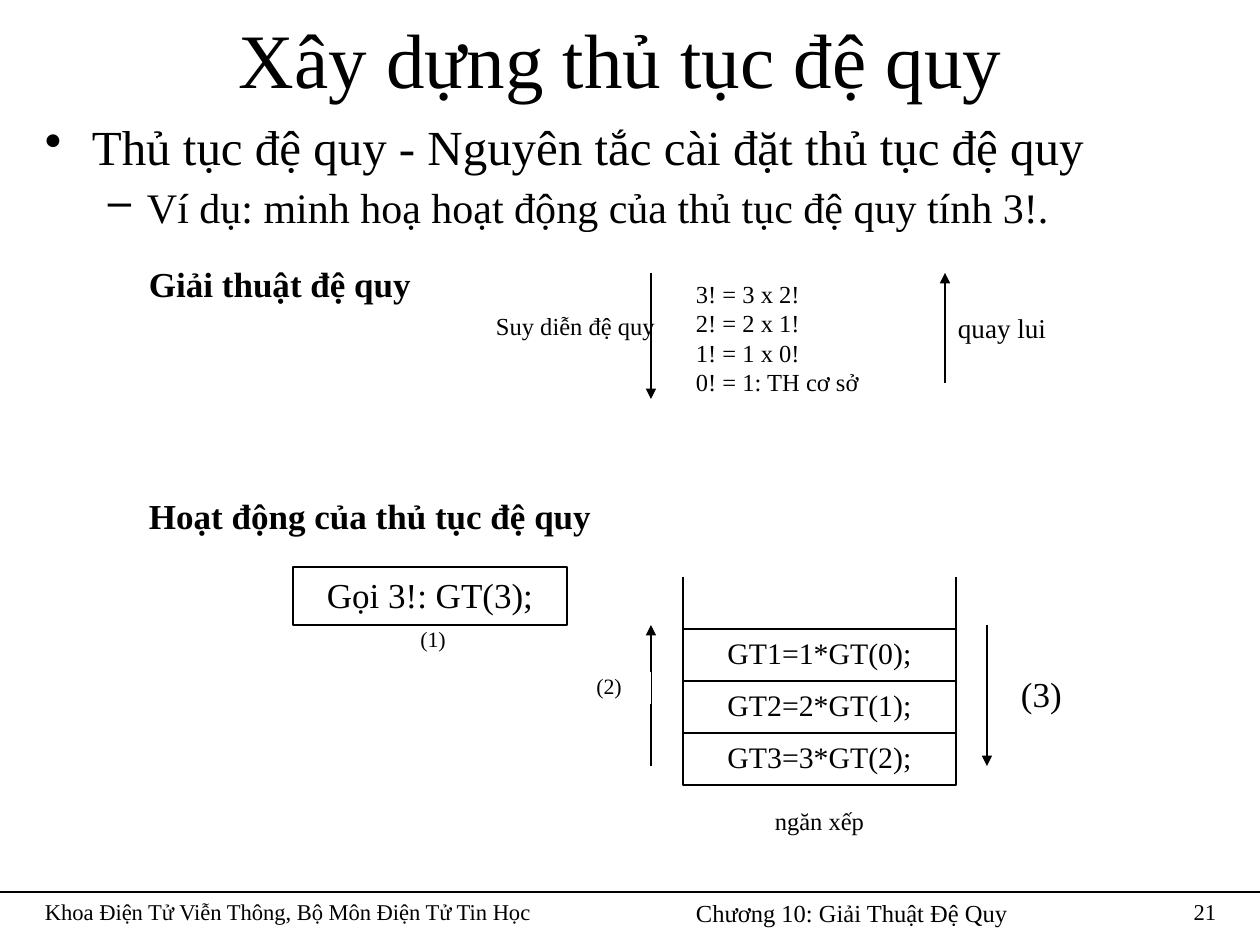
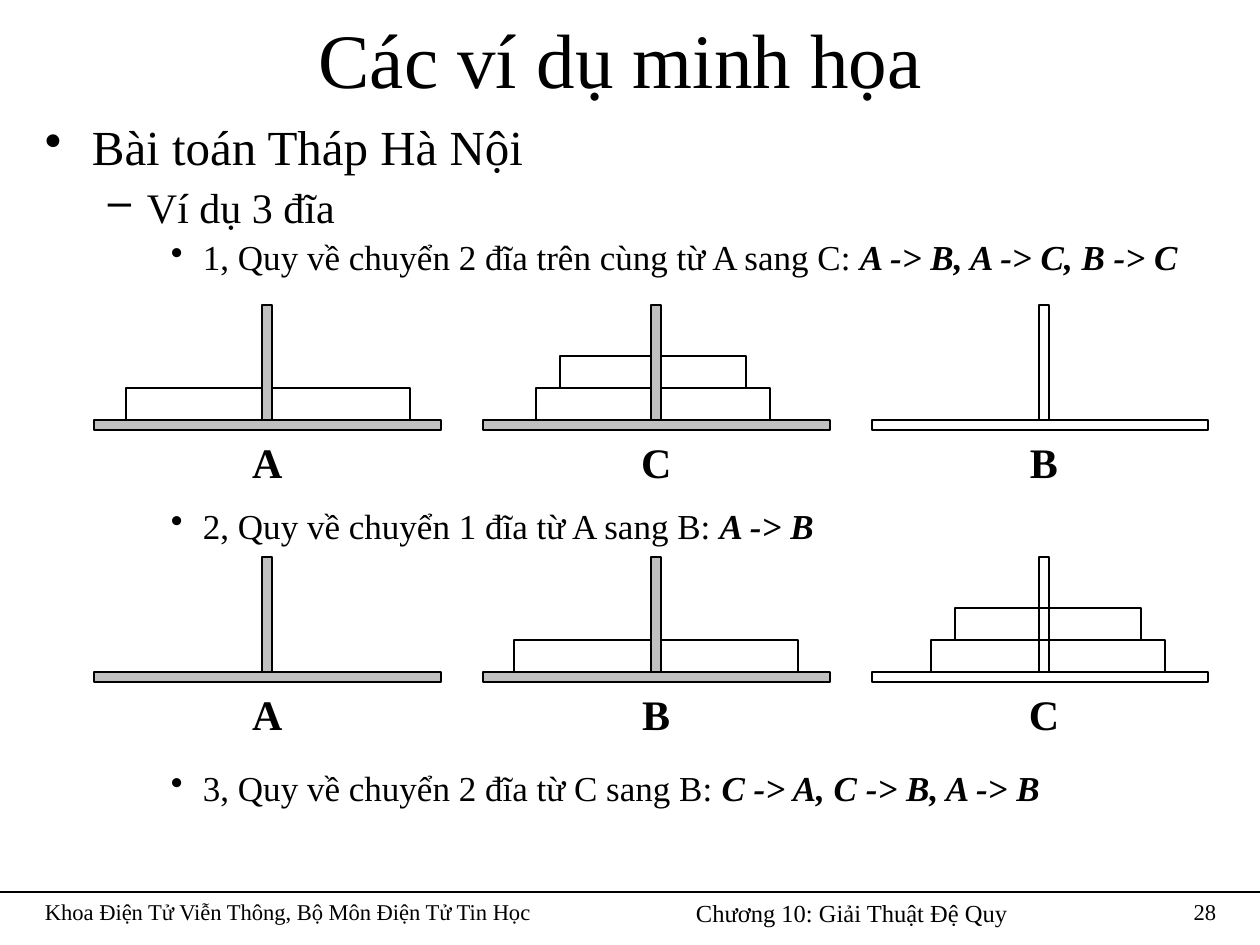
from lxml.etree import SubElement
from pptx import Presentation
from pptx.dml.color import RGBColor
from pptx.enum.shapes import MSO_CONNECTOR, MSO_SHAPE
from pptx.enum.text import MSO_ANCHOR, PP_ALIGN
from pptx.oxml.ns import qn
from pptx.util import Emu, Pt

PX = 914400 / 126
FONT = "Times New Roman"
COLORS = {"ink": "000000", "paper": "FFFFFF", "wood": "C0C0C0"}
LEFT, CENTER, RIGHT = PP_ALIGN.LEFT, PP_ALIGN.CENTER, PP_ALIGN.RIGHT

# Footer: text, left, width, size, alignment
FOOTER_TOP, FOOTER_HEIGHT = 892, 42
DEPARTMENT = ("Khoa Điện Tử Viễn Thông, Bộ Môn Điện Tử Tin Học", 32, 588, 12.9, LEFT)
CHAPTER = ("Chương 10: Giải Thuật Đệ Quy", 683, 368, 14, LEFT)

# Outline level: bullet, left margin, indent, size, space before
LEVELS = [("•", 47, -47, 28, 3.5), ("–", 102, -39, 24, 3), ("•", 158, -32, 20, 2.5)]

FACTORIAL = {
    "title": "Xây dựng thủ tục đệ quy",
    "page": "21",
    "outline": [
        (0, "Thủ tục đệ quy - Nguyên tắc cài đặt thủ tục đệ quy", ""),
        (1, "Ví dụ: minh hoạ hoạt động của thủ tục đệ quy tính 3!.", ""),
    ],
}
DEDUCTION = ["3! = 3 x 2!", "2! = 2 x 1!", "1! = 1 x 0!", "0! = 1: TH cơ sở"]
# Lines of text, box, size, alignment, vertical inset
EXPANSION_LABELS = [
    (DEDUCTION, (683, 273, 262, 142), 14, LEFT, 6),
    (["quay lui"], (945, 305, 189, 48), 15.5, LEFT, 6),
    (["Suy diễn đệ quy"], (483, 305, 189, 48), 14, LEFT, 6),
]
CALL_LABELS = [
    (["(3)"], (1008, 672, 73, 63), 20, LEFT, 1),
    (["(1)"], (346, 625, 174, 32), 12.5, CENTER, 1),
    (["ngăn xếp"], (683, 805, 273, 34), 14, CENTER, 1),
    (["(2)"], (567, 672, 84, 32), 12.5, CENTER, 1),
]
HEADINGS = [
    (["Giải thuật đệ quy"], (136, 262, 305, 53), 20, LEFT, 1),
    (["Hoạt động của thủ tục đệ quy"], (136, 494, 494, 53), 20, LEFT, 1),
]
FIRST_CALL = (["Gọi 3!: GT(3);"], (293, 567, 274, 58), 20, CENTER, 6)
STACK = ["GT1=1*GT(0);", "GT2=2*GT(1);", "GT3=3*GT(2);"]
STACK_LEFT, STACK_TOP, STACK_WIDTH, FRAME_HEIGHT = 683, 629, 273, 52
STACK_RIM = 577
# x, start, end
EXPANSION_ARROWS = [(945, 383, 273), (651, 273, 399)]
CALL_ARROWS = [(651, 766, 625), (987, 625, 766)]

HANOI = {
    "title": "Các ví dụ minh họa",
    "page": "28",
    "outline": [
        (0, "Bài toán Tháp Hà Nội", ""),
        (1, "Ví dụ 3 đĩa", ""),
        (2, "1, Quy về chuyển 2 đĩa trên cùng từ A sang C: ", "A -> B, A -> C, B -> C"),
    ],
}
LATER_STEPS = [
    (498, (2, "2, Quy về chuyển 1 đĩa từ A sang B: ", "A -> B")),
    (760, (2, "3, Quy về chuyển 2 đĩa từ C sang B: ", "C -> A, C -> B, A -> B")),
]
# Base left, base width, peg left, fill
TOWERS = [(94, 347, 262, "wood"), (483, 347, 651, "wood"), (872, 336, 1039, None)]
SMALL, MEDIUM, LARGE = 186, 234, 284
# Peg top, then for each tower: name, centre of the disks, disk widths from the bottom
STATES = [
    (305, [("A", 268, [LARGE]), ("C", 653, [MEDIUM, SMALL]), ("B", 1044, [])]),
    (557, [("A", 268, []), ("B", 656, [LARGE]), ("C", 1048, [MEDIUM, SMALL])]),
]
PEG_WIDTH, PEG_HEIGHT, BASE_HEIGHT, DISK_HEIGHT = 10, 115, 10, 32


def px(value):
    return Emu(round(value * PX))


def color(name):
    return RGBColor.from_string(COLORS[name])


def set_font(paragraph, size, bold=False):
    font = paragraph.font
    font.name, font.size, font.bold = FONT, Pt(size), bold
    font.color.rgb = color("ink")


def prepare_frame(shape, inset=6, anchor=MSO_ANCHOR.TOP):
    frame = shape.text_frame
    frame.word_wrap = True
    frame.vertical_anchor = anchor
    frame.margin_left = frame.margin_right = px(13)
    frame.margin_top = frame.margin_bottom = px(inset)
    return frame


def write_lines(shape, lines, size, alignment, inset=6, bold=False):
    frame = prepare_frame(shape, inset)
    for index, line in enumerate(lines):
        paragraph = frame.paragraphs[0] if index == 0 else frame.add_paragraph()
        paragraph.text = line
        paragraph.alignment = alignment
        set_font(paragraph, size, bold)


def add_text(slide, box, lines, size, alignment, bold=False):
    shape = slide.shapes.add_textbox(*map(px, box))
    write_lines(shape, lines, size, alignment, bold=bold)


def add_rectangle(slide, box, fill=None, line_width=None):
    shape = slide.shapes.add_shape(MSO_SHAPE.RECTANGLE, *map(px, box))
    shape.shadow.inherit = False
    if fill:
        shape.fill.solid()
        shape.fill.fore_color.rgb = color(fill)
    else:
        shape.fill.background()
    if line_width:
        shape.line.color.rgb = color("ink")
        shape.line.width = Pt(line_width)
    else:
        shape.line.fill.background()
    return shape


def add_label(slide, label, line_width=None, bold=False):
    lines, box, size, alignment, inset = label
    shape = add_rectangle(slide, box, "paper", line_width)
    write_lines(shape, lines, size, alignment, inset, bold)


def add_line(slide, start, end, arrow=False):
    line = slide.shapes.add_connector(MSO_CONNECTOR.STRAIGHT, *map(px, start + end))
    line.line.color.rgb = color("ink")
    line.line.width = Pt(0.75)
    if arrow:
        SubElement(line.line._get_or_add_ln(), qn("a:tailEnd"), type="triangle")
    SubElement(line._element.spPr, qn("a:effectLst"))


def add_outline(slide, box, items):
    frame = prepare_frame(slide.shapes.add_textbox(*map(px, box)))
    for index, (level, text, moves) in enumerate(items):
        bullet, margin, indent, size, space = LEVELS[level]
        paragraph = frame.paragraphs[0] if index == 0 else frame.add_paragraph()
        paragraph.level = level
        properties = paragraph._p.get_or_add_pPr()
        properties.set("marL", str(px(margin)))
        properties.set("indent", str(px(indent)))
        SubElement(properties, qn("a:buChar"), char=bullet)
        if index:
            paragraph.space_before = Pt(space)
        set_font(paragraph, size)
        paragraph.add_run().text = text
        if moves:
            run = paragraph.add_run()
            run.text = moves
            run.font.bold = run.font.italic = True


def add_slide(presentation, content):
    """Add a slide with its title, outline and the shared footer."""
    slide = presentation.slides.add_slide(presentation.slide_layouts[5])
    title = slide.shapes.title
    title.left, title.top, title.width, title.height = map(px, (32, 10, 1197, 95))
    frame = prepare_frame(title, anchor=MSO_ANCHOR.MIDDLE)
    frame.margin_right = px(33)
    paragraph = frame.paragraphs[0]
    paragraph.text = content["title"]
    paragraph.alignment = CENTER
    set_font(paragraph, 44)

    add_line(slide, (0, FOOTER_TOP), (1260, FOOTER_TOP))
    page = (content["page"], 1124, 105, 12.9, RIGHT)
    for text, left, width, size, alignment in (CHAPTER, DEPARTMENT, page):
        box = (left, FOOTER_TOP, width, FOOTER_HEIGHT)
        add_text(slide, box, [text], size, alignment)
    add_outline(slide, (32, 111, 1197, 178), content["outline"])
    return slide


def add_arrows(slide, arrows):
    for x, start, end in arrows:
        add_line(slide, (x, start), (x, end), arrow=True)


def add_call_stack(slide):
    for index, call in enumerate(STACK):
        top = STACK_TOP + index * FRAME_HEIGHT
        box = (STACK_LEFT, top, STACK_WIDTH, FRAME_HEIGHT)
        add_label(slide, ([call], box, 17, CENTER, 6), line_width=0.75)
    bottom = STACK_TOP + len(STACK) * FRAME_HEIGHT
    for x in (STACK_LEFT, STACK_LEFT + STACK_WIDTH):
        add_line(slide, (x, STACK_RIM), (x, bottom))


def add_tower(slide, peg_top, tower, state):
    base_left, base_width, peg_left, fill = tower
    name, disk_center, disks = state
    base_top = peg_top + PEG_HEIGHT
    add_rectangle(slide, (base_left, base_top, base_width, BASE_HEIGHT), fill, 0.75)
    for index, width in enumerate(disks):
        top = base_top - (index + 1) * DISK_HEIGHT
        add_rectangle(slide, (disk_center - width / 2, top, width, DISK_HEIGHT), None, 1)
    add_rectangle(slide, (peg_left, peg_top, PEG_WIDTH, PEG_HEIGHT), fill, 0.75)
    label_box = (peg_left + PEG_WIDTH / 2 - 28, base_top + 11, 56, 63)
    add_text(slide, label_box, [name], 24, CENTER, bold=True)


def build_factorial(presentation):
    slide = add_slide(presentation, FACTORIAL)
    for label in EXPANSION_LABELS:
        add_label(slide, label)
    add_arrows(slide, EXPANSION_ARROWS)
    add_arrows(slide, CALL_ARROWS)
    for label in CALL_LABELS:
        add_label(slide, label)
    add_label(slide, FIRST_CALL, line_width=0.75)
    add_call_stack(slide)
    for heading in HEADINGS:
        add_label(slide, heading, bold=True)


def build_hanoi(presentation):
    slide = add_slide(presentation, HANOI)
    for peg_top, states in STATES:
        for tower, state in zip(TOWERS, states):
            add_tower(slide, peg_top, tower, state)
    for top, step in LATER_STEPS:
        add_outline(slide, (32, top, 1197, 59), [step])


def main():
    presentation = Presentation()
    presentation.slide_width, presentation.slide_height = px(1260), px(945)
    build_factorial(presentation)
    build_hanoi(presentation)
    presentation.save("out.pptx")


if __name__ == "__main__":
    main()
